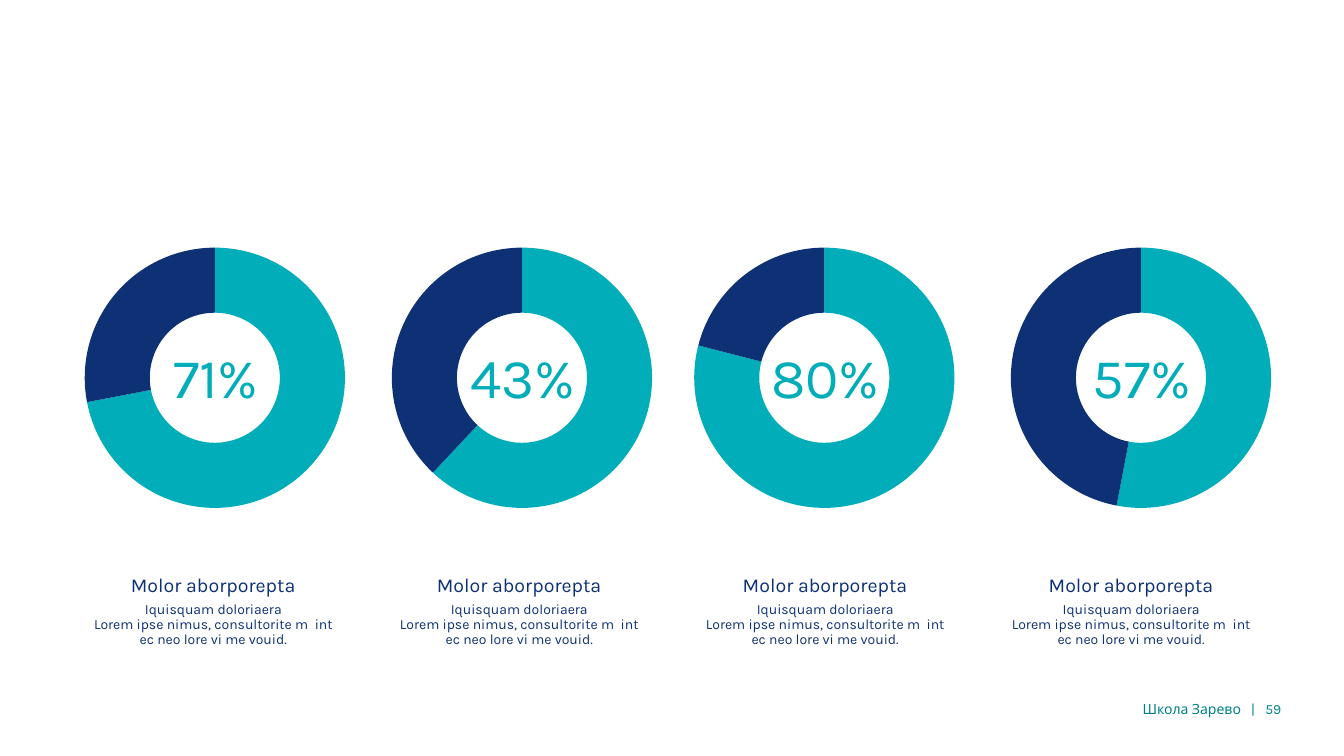
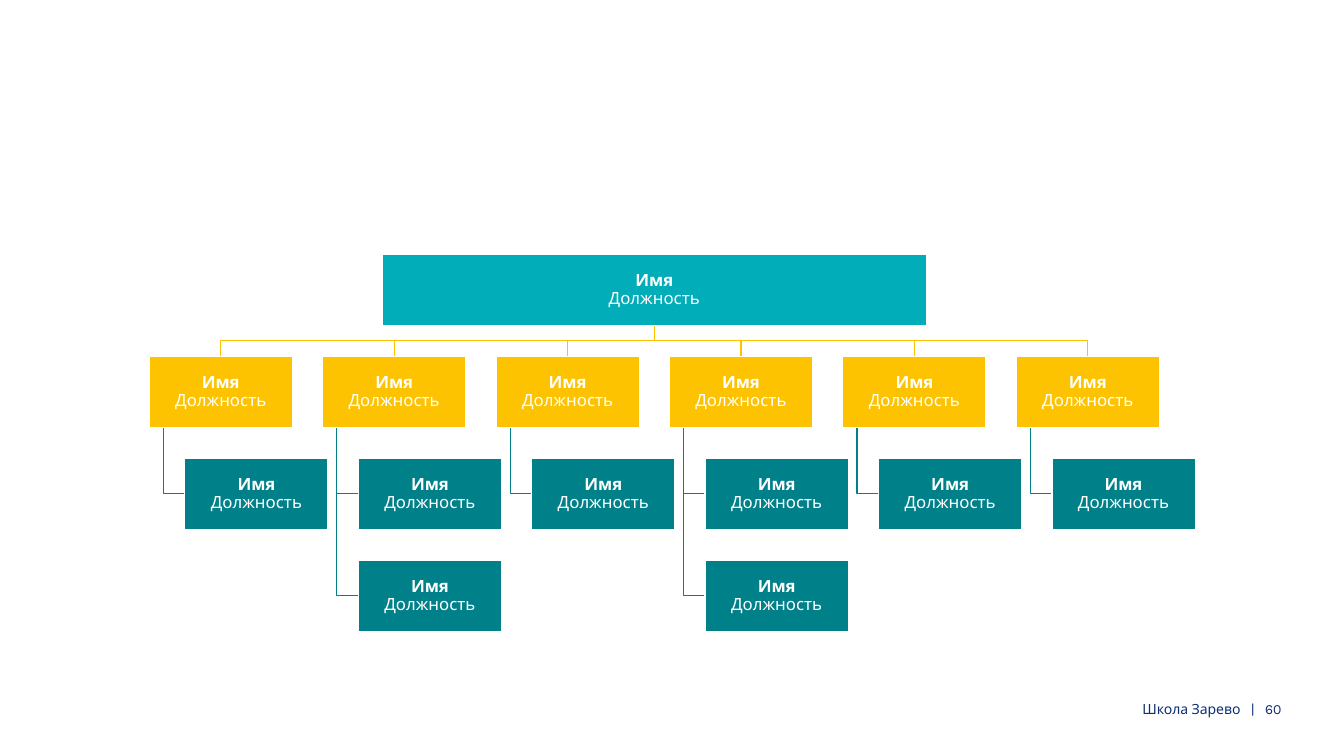
from pptx import Presentation
from pptx.chart.data import CategoryChartData
from pptx.dml.color import RGBColor
from pptx.enum.chart import XL_CHART_TYPE as CT
from pptx.enum.shapes import MSO_SHAPE as SHAPE
from pptx.enum.text import MSO_ANCHOR as ANCHOR, PP_ALIGN as ALIGN
from pptx.util import Cm, Pt

COLORS = {"turquoise": "00ADB9", "navy": "0D3174", "teal": "00818A",
          "yellow": "FDC300", "white": "FFFFFF"}
RGB = {name: RGBColor.from_string(value) for name, value in COLORS.items()}
FONT = "Karla"


def add_text(p, text, size=10, color="navy", bold=False, spacing=None):
    """Append text to a paragraph; a newline becomes a line break."""
    for i, line in enumerate(text.split("\n")):
        if i:
            p.add_line_break()
        r = p.add_run()
        r.text = line
        r.font.name, r.font.size, r.font.bold = FONT, Pt(size), bold
        r.font.color.rgb = RGB[color]
        if spacing:
            r.font._element.set("spc", str(spacing * 100))


def add_box(s, x, y, w, h, top=0):
    """Add a wrapping text box without side margins; return its frame."""
    tf = s.shapes.add_textbox(Cm(x), Cm(y), Cm(w), Cm(h)).text_frame
    tf.word_wrap = True
    tf.margin_left = tf.margin_right = tf.margin_bottom = 0
    tf.margin_top = Cm(top)
    return tf


prs = Presentation()
prs.slide_width, prs.slide_height = Cm(33.87), Cm(19.05)

# Slides with their footers
slides = []
for number, color in [("59", "teal"), ("60", "navy")]:
    s = prs.slides.add_slide(prs.slide_layouts[6])
    p = add_box(s, 25.58, 17.65, 6.71, 1.02).paragraphs[0]
    p.alignment = ALIGN.RIGHT
    for text, spacing in [("Школа Зарево", None), (" ", 5), ("|", None),
                          (" ", 5), (number, None)]:
        add_text(p, text, color=color, spacing=spacing)
    slides.append(s)
donut_slide, org_slide = slides

# Doughnut charts: left edge, share drawn, label in the hole
donuts = [(0.08, 72, "71%"), (7.82, 62, "43%"),
          (15.44, 79, "80%"), (23.42, 53, "57%")]
for x, share, label in donuts:
    data = CategoryChartData()
    data.categories = ["1", "2"]
    data.add_series("Series 1", (share, 100 - share))
    chart = donut_slide.shapes.add_chart(
        CT.DOUGHNUT, Cm(x), Cm(5.89), Cm(10.67), Cm(7.26), data).chart
    chart.has_title = chart.has_legend = False
    chart.font.name, chart.font.size = FONT, Pt(10)
    chart.font.color.rgb = RGB["white"]
    for i, color in enumerate(["turquoise", "navy"]):
        fmt = chart.plots[0].series[0].points[i].format
        fmt.fill.solid()
        fmt.fill.fore_color.rgb = RGB[color]
        fmt.line.fill.background()

    p = add_box(donut_slide, x + 3.94, 8.61, 2.84, 1.73, top=0.03).paragraphs[0]
    p.alignment = ALIGN.CENTER
    p.space_before = Pt(0.6)
    add_text(p, label, size=40, color="turquoise")

# Captions under the charts
caption = [("Molor aborporepta", 14, 7.3),
           ("Iquisquam doloriaera\nLorem ipse nimus, consultorite m  int "
            "ec neo lore vi me vouid.", 10, 3.8)]
for i in range(len(donuts)):
    tf = add_box(donut_slide, 2.29 + 7.71 * i, 14.25, 6.17, 2.11, top=0.25)
    for j, (text, size, before) in enumerate(caption):
        p = tf.add_paragraph() if j else tf.paragraphs[0]
        p.alignment = ALIGN.CENTER
        p.line_spacing = 0.9
        p.space_before = Pt(before)
        add_text(p, text, size=size)

# Organisation chart: grid
BOX_W, BOX_H = 3.61, 1.79
HEAD_W = 13.72
COL_X, COL_STEP = 3.76, 4.37
ROW_Y = [6.41 + 2.57 * row for row in range(4)]
INDENT, STEM = 0.9, 0.36
reports = [1, 2, 1, 2, 1, 1]

center = COL_X + (COL_STEP * (len(reports) - 1) + BOX_W) / 2
head_bottom = ROW_Y[0] + BOX_H
bus_y = (head_bottom + ROW_Y[1]) / 2
boxes = [(center - HEAD_W / 2, ROW_Y[0], HEAD_W, "turquoise")]
lines = []
for i, count in enumerate(reports):
    x = COL_X + COL_STEP * i
    middle = x + BOX_W / 2
    boxes.append((x, ROW_Y[1], BOX_W, "yellow"))
    lines.append(("yellow", [(center, head_bottom), (center, bus_y),
                             (middle, bus_y), (middle, ROW_Y[1])]))
    for y in ROW_Y[2:2 + count]:
        boxes.append((x + INDENT, y, BOX_W, "teal"))
        lines.append(("teal", [(x + STEM, ROW_Y[1] + BOX_H),
                               (x + STEM, y + BOX_H / 2),
                               (x + INDENT, y + BOX_H / 2)]))

# Organisation chart: bent lines
for color, points in lines:
    start, *rest = [(Cm(x), Cm(y)) for x, y in points]
    builder = org_slide.shapes.build_freeform(*start)
    builder.add_line_segments(rest, close=False)
    sp = builder.convert_to_shape()
    sp.shadow.inherit = False
    sp.fill.background()
    sp.line.color.rgb = RGB[color]
    sp.line.width = Pt(0.85)

# Organisation chart: boxes
for x, y, w, color in boxes:
    sp = org_slide.shapes.add_shape(SHAPE.RECTANGLE, Cm(x), Cm(y), Cm(w), Cm(BOX_H))
    sp.shadow.inherit = False
    sp.fill.solid()
    sp.fill.fore_color.rgb = RGB[color]
    sp.line.color.rgb = RGB["white"]
    sp.line.width = Pt(0.85)
    tf = sp.text_frame
    tf.word_wrap = True
    tf.vertical_anchor = ANCHOR.MIDDLE
    tf.margin_left = tf.margin_right = tf.margin_top = tf.margin_bottom = Cm(0.02)
    p = tf.paragraphs[0]
    p.alignment = ALIGN.CENTER
    p.line_spacing = 0.9
    add_text(p, "Имя", size=12, color="white", bold=True)
    p.add_line_break()
    add_text(p, "Должность", size=12, color="white")

prs.save("out.pptx")
